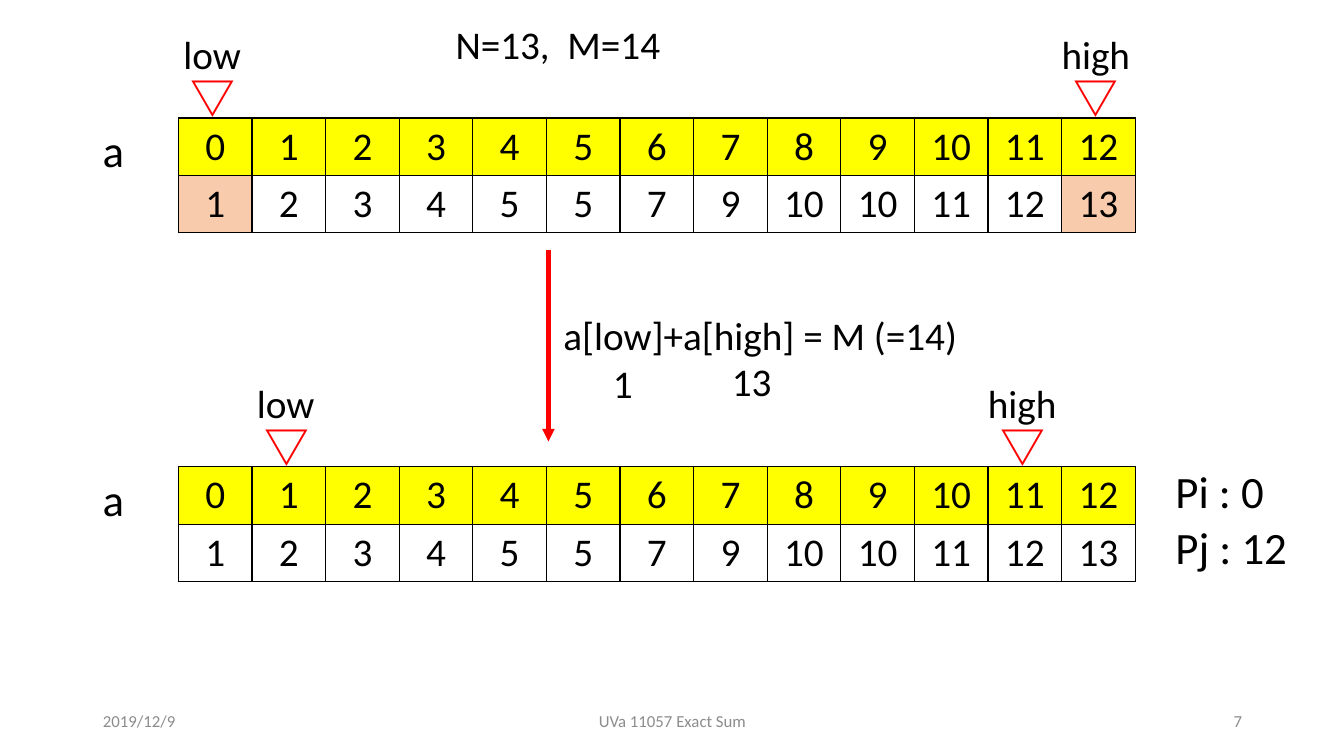
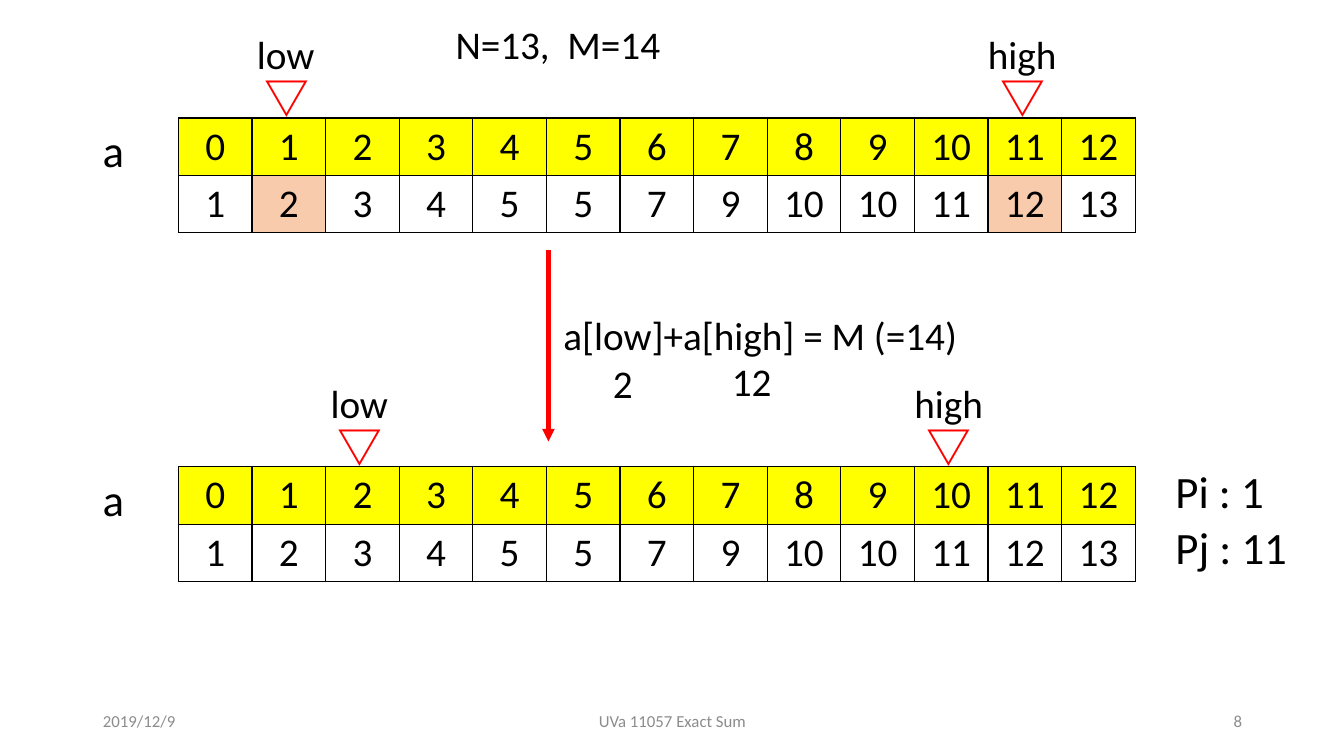
from copy import deepcopy
from dataclasses import dataclass

from lxml import etree
from pptx import Presentation
from pptx.dml.color import RGBColor
from pptx.enum.shapes import MSO_CONNECTOR
from pptx.enum.text import MSO_ANCHOR, MSO_AUTO_SIZE, PP_ALIGN
from pptx.oxml.ns import qn
from pptx.util import Inches, Pt

LEFT, CENTER, RIGHT = PP_ALIGN.LEFT, PP_ALIGN.CENTER, PP_ALIGN.RIGHT
MIDDLE = MSO_ANCHOR.MIDDLE
FIT_SHAPE = MSO_AUTO_SIZE.SHAPE_TO_FIT_TEXT
STRAIGHT = MSO_CONNECTOR.STRAIGHT


@dataclass(frozen=True)
class Theme:
    font: str = "Calibri"
    symbol_font: str = "Noto Sans CJK TC"
    black: str = "000000"
    white: str = "FFFFFF"
    gray: str = "8C8C8C"
    red: str = "FF0000"
    yellow: str = "FFFF00"
    peach: str = "F8CBAD"
    footer_size: int = 12
    body_size: int = 28
    large_size: int = 32


THEME = Theme()
VALUES = [1, 2, 3, 4, 5, 5, 7, 9, 10, 10, 11, 12, 13]
TARGET = 14
TABLE_LEFT, COLUMN_WIDTH, ROW_HEIGHT = 1.77, 0.73, 0.57
BEFORE_TOP, AFTER_TOP = 1.17, 4.63
FIRST_NUMBER = 7
STEPS = [(0, 12), (1, 11)]


def write(text_frame, text, size=THEME.body_size, color=THEME.black,
          font=THEME.font, bold=False, align=LEFT):
    paragraph = text_frame.paragraphs[0]
    paragraph.alignment = align
    run = paragraph.add_run()
    run.text = text
    run.font.name = font
    run.font.size = Pt(size)
    run.font.bold = bold
    run.font.color.rgb = RGBColor.from_string(color)


def add_label(slide, text, left, top, width, height=0.57, **style):
    label = slide.shapes.add_textbox(Inches(left), Inches(top), Inches(width), Inches(height))
    label.text_frame.word_wrap = False
    label.text_frame.auto_size = FIT_SHAPE
    write(label.text_frame, text, **style)
    return label


presentation = Presentation()
presentation.slide_width = Inches(13.33)
presentation.slide_height = Inches(7.5)

layout = presentation.slide_layouts[6]
footer_places = [(0.92, 3, LEFT), (4.42, 4.5, CENTER), (9.42, 3, RIGHT)]
for placeholder, (left, width, _) in zip(layout.placeholders, footer_places):
    placeholder.left, placeholder.top = Inches(left), Inches(6.95)
    placeholder.width, placeholder.height = Inches(width), Inches(0.4)
    placeholder.text_frame.vertical_anchor = MIDDLE

for number, (low, high) in enumerate(STEPS, FIRST_NUMBER):
    slide = presentation.slides.add_slide(layout)

    for placeholder in layout.placeholders:
        slide.shapes.element.append(deepcopy(placeholder.element))
    footer_texts = ["2019/12/9", "UVa 11057 Exact Sum", str(number)]
    for placeholder, text, (_, _, align) in zip(slide.placeholders, footer_texts, footer_places):
        placeholder.text_frame.clear()
        write(placeholder.text_frame, text, THEME.footer_size, THEME.gray, align=align)

    states = [(BEFORE_TOP, low, high, {low, high}), (AFTER_TOP, low + 1, high - 1, set())]
    for top, low_index, high_index, highlighted in states:
        frame = slide.shapes.add_table(
            2, len(VALUES), Inches(TABLE_LEFT), Inches(top),
            Inches(COLUMN_WIDTH * len(VALUES)), Inches(2 * ROW_HEIGHT))
        table = frame.table
        table.first_row = table.horz_banding = False
        for column in table.columns:
            column.width = Inches(COLUMN_WIDTH)
        for row_index, numbers in enumerate([range(len(VALUES)), VALUES]):
            table.rows[row_index].height = Inches(ROW_HEIGHT)
            for column_index, value in enumerate(numbers):
                cell = table.cell(row_index, column_index)
                cell.vertical_anchor = MIDDLE
                cell.margin_top = cell.margin_bottom = Inches(0.04)
                write(cell.text_frame, str(value), align=CENTER)
                properties = cell._tc.get_or_add_tcPr()
                for side in ("lnL", "lnR", "lnT", "lnB"):
                    border = etree.SubElement(properties, qn(f"a:{side}"), w=str(Pt(1)))
                    fill = etree.SubElement(border, qn("a:solidFill"))
                    etree.SubElement(fill, qn("a:srgbClr"), val=THEME.black)
                if row_index == 0:
                    color = THEME.yellow
                else:
                    color = THEME.peach if column_index in highlighted else THEME.white
                cell.fill.solid()
                cell.fill.fore_color.rgb = RGBColor.from_string(color)

        pointers = [("low", low_index, 0.07, 0.79), ("high", high_index, 0.12, 0.95)]
        for name, index, overhang, width in pointers:
            left = TABLE_LEFT + 0.02 + COLUMN_WIDTH * index
            marker = add_label(slide, "▽", left, top - 0.53, 0.71, 0.64, size=THEME.large_size,
                               color=THEME.red, font=THEME.symbol_font, bold=True)
            for latin in list(marker.element.iter(qn("a:latin"))):
                latin.addnext(latin.makeelement(qn("a:ea"), typeface=THEME.symbol_font))
            add_label(slide, name, left - overhang, top - 0.92, width)
        add_label(slide, "a", 0.92, top, 0.4, 0.64, size=THEME.large_size)

    add_label(slide, f"N={len(VALUES)},  M={TARGET}", 4.42, 0.15, 2.37)
    add_label(slide, f"a[low]+a[high] = M (={TARGET})", 5.49, 3.04, 4.37)
    add_label(slide, str(VALUES[low]), 5.98, 3.52, 0.48)
    add_label(slide, str(VALUES[high]), 7.16, 3.5, 0.64)
    add_label(slide, f"Pi : {low}", 11.56, 4.55, 1.29, 0.64, size=THEME.large_size)
    add_label(slide, f"Pj : {high}", 11.56, 5.11, 1.52, 0.64, size=THEME.large_size)

    arrow = slide.shapes.add_connector(
        STRAIGHT, Inches(5.44), Inches(2.48), Inches(5.44), Inches(4.38))
    arrow.line.color.rgb = RGBColor.from_string(THEME.red)
    arrow.line.width = Pt(3)
    etree.SubElement(arrow.line._get_or_add_ln(), qn("a:tailEnd"), type="triangle")
    etree.SubElement(arrow.element.spPr, qn("a:effectLst"))

presentation.save("out.pptx")
